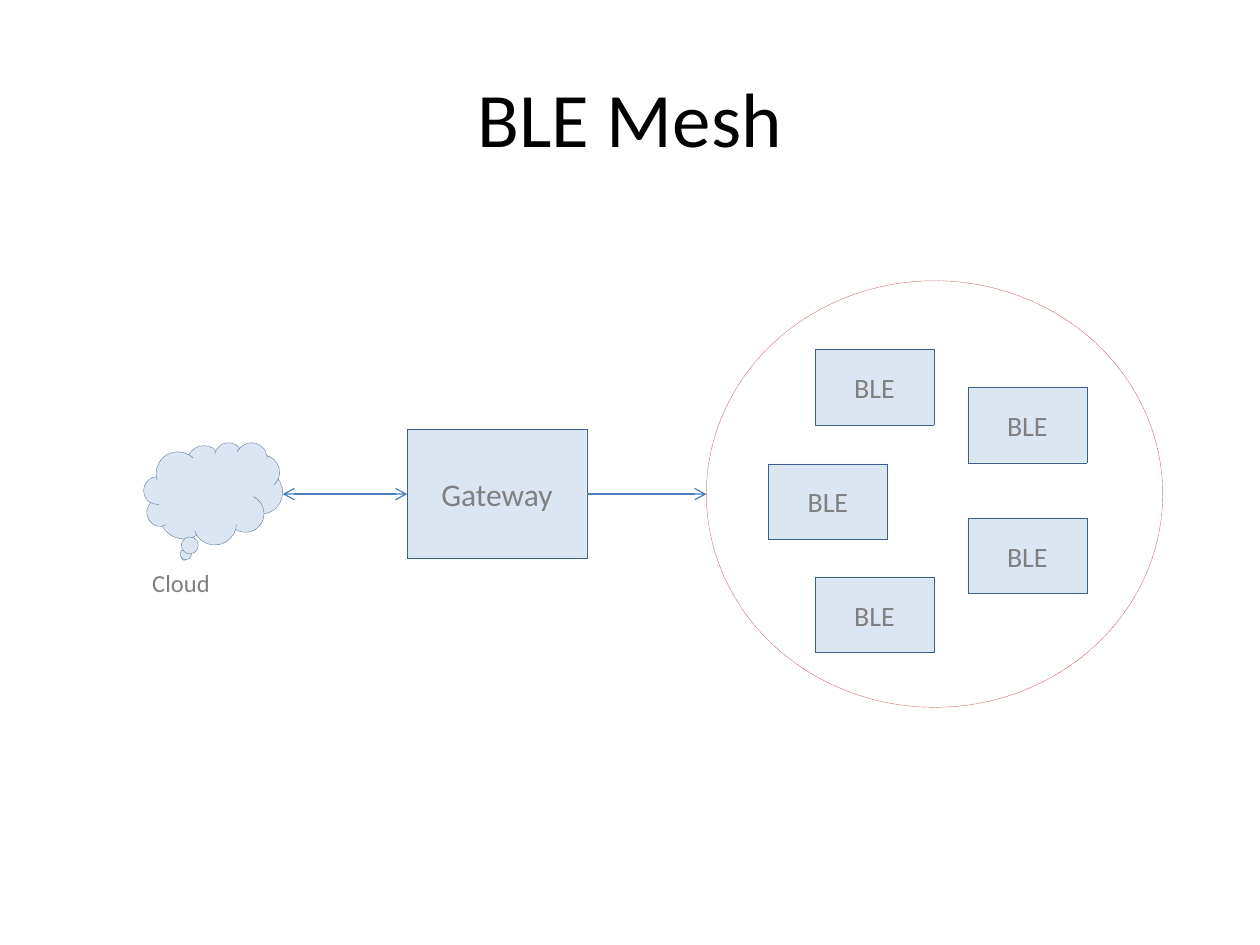
from dataclasses import dataclass

from lxml import etree
from pptx import Presentation
from pptx import util as u
from pptx.dml.color import RGBColor
from pptx.enum import dml, shapes, text
from pptx.oxml.ns import qn


@dataclass(frozen=True)
class Theme:
    font: str = "Calibri"
    ink: str = "000000"
    gray: str = "808080"
    pale: str = "DCE6F2"
    edge: str = "3A5F8C"
    link: str = "4B7EBC"
    ring: str = "C0504D"
    title: int = 44
    large: int = 18
    node: int = 16
    label: int = 14
    thin: float = 0.25
    line: float = 0.75


class Sketch:
    """Draws styled elements on the current slide."""

    def __init__(self, slide, theme):
        self.slide = slide
        self.theme = theme

    def put(self, frame, words, size, color, align=text.PP_ALIGN.CENTER):
        para = frame.paragraphs[0]
        para.alignment = align
        run = para.add_run()
        run.text = words
        run.font.name = self.theme.font
        run.font.size = u.Pt(size)
        run.font.color.rgb = RGBColor.from_string(color)

    def title(self, words, *box):
        frame = self.slide.shapes.add_textbox(*map(u.Cm, box)).text_frame
        frame.word_wrap = True
        frame.vertical_anchor = text.MSO_ANCHOR.MIDDLE
        self.put(frame, words, self.theme.title, self.theme.ink)

    def label(self, words, *box):
        frame = self.slide.shapes.add_textbox(*map(u.Cm, box)).text_frame
        frame.word_wrap = False
        frame.auto_size = text.MSO_AUTO_SIZE.SHAPE_TO_FIT_TEXT
        self.put(frame, words, self.theme.label, self.theme.gray,
                 text.PP_ALIGN.LEFT)

    def shape(self, kind, *box, fill=None, edge=None):
        item = self.slide.shapes.add_shape(kind, *map(u.Cm, box))
        item.shadow.inherit = False
        if fill:
            item.fill.solid()
            item.fill.fore_color.rgb = RGBColor.from_string(fill)
        else:
            item.fill.background()
        item.line.color.rgb = RGBColor.from_string(edge or self.theme.edge)
        item.line.width = u.Pt(self.theme.thin)
        item.line.dash_style = dml.MSO_LINE.ROUND_DOT
        return item

    def box(self, words, size, *box):
        item = self.shape(shapes.MSO_SHAPE.RECTANGLE, *box,
                          fill=self.theme.pale)
        item.text_frame.vertical_anchor = text.MSO_ANCHOR.MIDDLE
        self.put(item.text_frame, words, size, self.theme.gray)
        return item

    def arrow(self, start, side, end, both=False):
        y = start.top + start.height // 2
        wire = self.slide.shapes.add_connector(
            shapes.MSO_CONNECTOR.STRAIGHT, start.left, y, end, y)
        wire.begin_connect(start, side)
        wire.line.color.rgb = RGBColor.from_string(self.theme.link)
        wire.line.width = u.Pt(self.theme.line)
        props = wire._element.spPr
        line = props.find(qn("a:ln"))
        for tip in ("a:headEnd", "a:tailEnd") if both else ("a:tailEnd",):
            etree.SubElement(line, qn(tip), type="arrow")
        etree.SubElement(props, qn("a:effectLst"))


def main():
    deck = Presentation()
    deck.slide_width, deck.slide_height = u.Cm(25.4), u.Cm(19.05)
    theme = Theme()
    art = Sketch(deck.slides.add_slide(deck.slide_layouts[6]), theme)

    art.title("BLE Mesh", 1.27, 0.76, 22.86, 3.18)
    gate = art.box("Gateway", theme.large, 8.21, 8.66, 3.62, 2.6)
    cloud = art.shape(shapes.MSO_SHAPE.CLOUD_CALLOUT, 2.9, 8.92, 2.8, 2.06,
                      fill=theme.pale)
    art.label("Cloud", 2.82, 11.33, 1.68, 0.86)
    nodes = [(16.43, 7.04), (15.49, 9.35), (19.51, 7.8),
             (19.51, 10.44), (16.43, 11.63)]
    for x, y in nodes:
        art.box("BLE", theme.node, x, y, 2.4, 1.53)
    mesh = art.shape(shapes.MSO_SHAPE.OVAL, 14.24, 5.66, 9.2, 8.6,
                     edge=theme.ring)
    art.arrow(gate, 1, cloud.left + cloud.width, both=True)
    art.arrow(gate, 3, mesh.left)

    deck.save("out.pptx")


if __name__ == "__main__":
    main()
